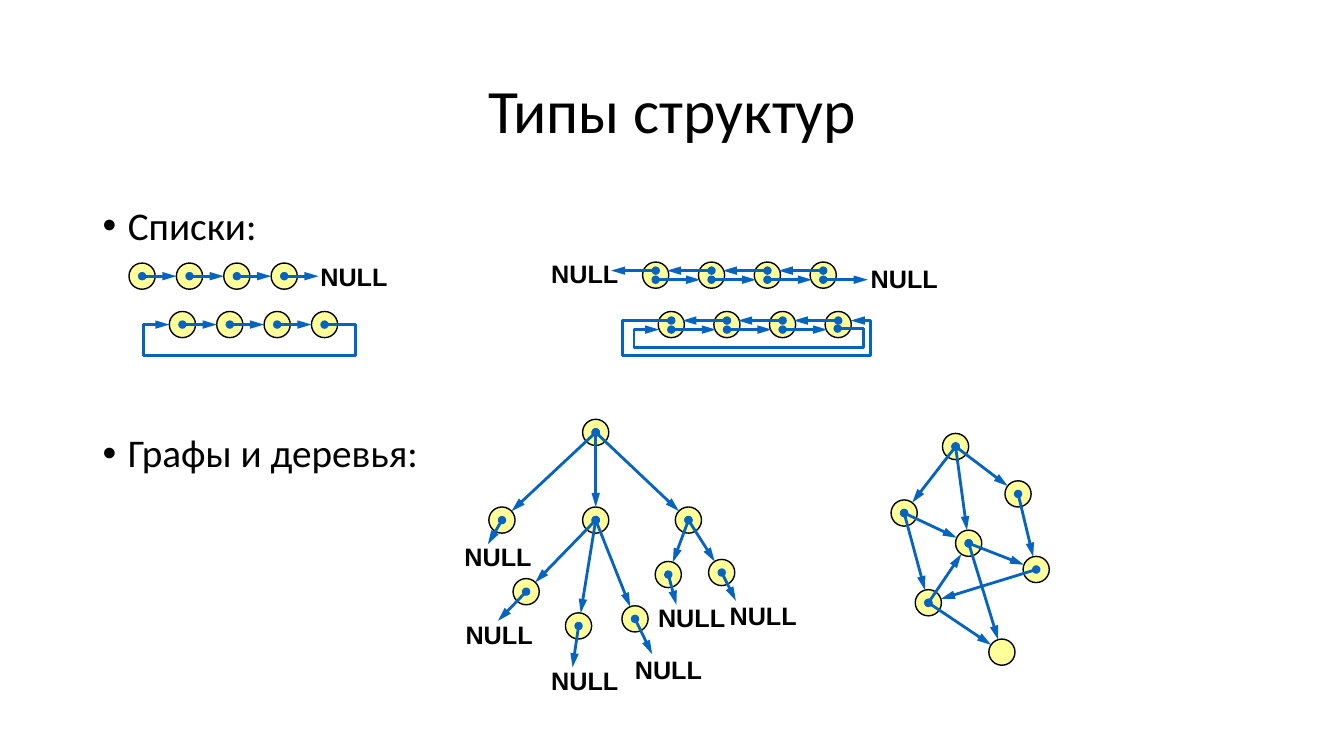
from math import hypot

from lxml import etree
from pptx import Presentation
from pptx.dml.color import RGBColor
from pptx.enum.shapes import MSO_CONNECTOR, MSO_SHAPE
from pptx.enum.text import MSO_ANCHOR, MSO_AUTO_SIZE, PP_ALIGN
from pptx.oxml.ns import qn
from pptx.util import Inches, Pt

STRAIGHT = MSO_CONNECTOR.STRAIGHT
OVAL = MSO_SHAPE.OVAL
MIDDLE = MSO_ANCHOR.MIDDLE
FIT_SHAPE = MSO_AUTO_SIZE.SHAPE_TO_FIT_TEXT
CENTER = PP_ALIGN.CENTER

CELL = Inches(0.1)
COLUMNS, ROWS = 133.33, 75
RADIUS = 1.3
BLACK, YELLOW, BLUE = "000000", "FFFF99", "0563C1"


def cells(*counts):
    return [round(count * CELL) for count in counts]


def color(value):
    return RGBColor.from_string(value)


def style_text(paragraph, font_name, size, bold=False):
    for run in paragraph.runs:
        run.font.name = font_name
        run.font.size = Pt(size)
        run.font.bold = bold
        run.font.color.rgb = color(BLACK)


def style_arrow(arrow):
    arrow.line.color.rgb = color(BLUE)
    arrow.line.width = Pt(2)
    properties = arrow.element.spPr
    outline = properties.find(qn("a:ln"))
    etree.SubElement(outline, qn("a:headEnd"), type="oval")
    etree.SubElement(outline, qn("a:tailEnd"), type="triangle", w="med", len="lg")
    return properties


def add_title(slide, text):
    title = slide.shapes.title
    title.left, title.top, title.width, title.height = cells(9.2, 4, 115, 14.5)
    title.text_frame.text = text
    title.text_frame.vertical_anchor = MIDDLE
    heading = title.text_frame.paragraphs[0]
    heading.alignment = CENTER
    heading.line_spacing = 0.9
    style_text(heading, "Calibri", 44)


def add_topics(slide, topics):
    frame = slide.shapes.add_textbox(*cells(9.2, 20, 115, 47.6)).text_frame
    frame.word_wrap = True
    frame.text = "\n".join(text for text, _ in topics)
    for topic, (_, gap) in zip(frame.paragraphs, topics):
        topic.line_spacing = 0.9
        topic.space_before = Pt(gap)
        style_text(topic, "Calibri", 28)
        indents = topic._p.get_or_add_pPr()
        indents.set("marL", str(Inches(0.25)))
        indents.set("indent", str(-Inches(0.25)))
        etree.SubElement(indents, qn("a:buFont"), typeface="Arial")
        etree.SubElement(indents, qn("a:buChar"), char="•")


def add_null(figure, left, top):
    label = figure.add_textbox(*cells(left, top, 8.7, 4.1)).text_frame
    label.word_wrap = False
    label.auto_size = FIT_SHAPE
    label.text = "NULL"
    style_text(label.paragraphs[0], "Arial", 18, bold=True)


def add_node(figure, x, y):
    node = figure.add_shape(OVAL, *cells(x - RADIUS, y - RADIUS, 2 * RADIUS, 2 * RADIUS))
    node.shadow.inherit = False
    node.fill.solid()
    node.fill.fore_color.rgb = color(YELLOW)
    node.line.color.rgb = color(BLACK)
    node.line.width = Pt(1)


def add_pointer(figure, start, end):
    pointer = figure.add_connector(STRAIGHT, *cells(*start, *end))
    etree.SubElement(style_arrow(pointer), qn("a:effectLst"))


def add_loop(figure, points):
    corners = [cells(*point) for point in points]
    builder = figure.build_freeform(*corners[0])
    builder.add_line_segments(corners[1:], close=False)
    loop = builder.convert_to_shape()
    loop.shadow.inherit = False
    loop.fill.background()
    effects = loop.element.spPr.find(qn("a:effectLst"))
    style_arrow(loop)
    loop.element.spPr.append(effects)


def add_chain(figure, first, y, pitch, forward, backward, reach):
    centers = [first + pitch * index for index in range(4)]
    for x in centers:
        add_node(figure, x, y)
    for x in centers[:forward[0]]:
        add_pointer(figure, (x, y + forward[1]), (x + reach, y + forward[1]))
    for x in centers[4 - backward[0]:]:
        add_pointer(figure, (x, y + backward[1]), (x - reach, y + backward[1]))


def add_network(figure, nodes, edges):
    for x, y in nodes.values():
        add_node(figure, x, y)
    for source, targets in edges.items():
        x, y = nodes[source]
        for target in targets:
            dx, dy = nodes[target][0] - x, nodes[target][1] - y
            share = 1 - RADIUS / hypot(dx, dy)
            add_pointer(figure, (x, y), (x + dx * share, y + dy * share))


def add_lists(slide):
    single = slide.shapes.add_group_shape().shapes
    add_chain(single, 14.1, 27.4, 4.7, (4, 0), (0, 0), 3.4)
    add_null(single, 30.8, 25.4)

    double = slide.shapes.add_group_shape().shapes
    add_chain(double, 65.05, 27.3, 5.54, (4, 0.45), (4, -0.45), 4.42)
    add_null(double, 85.4, 25.6)
    add_null(double, 53.7, 25.1)

    ring = slide.shapes.add_group_shape().shapes
    add_chain(ring, 18.1, 32.2, 4.7, (3, 0), (0, 0), 3.4)
    add_loop(ring, [(32.2, 32.2), (35.3, 32.2), (35.3, 35.3),
                    (14.2, 35.3), (14.2, 32.2), (16.8, 32.2)])

    double_ring = slide.shapes.add_group_shape().shapes
    add_chain(double_ring, 66.6, 32.2, 5.52, (3, 0.5), (3, -0.4), 4.42)
    add_loop(double_ring, [(83.1, 32.6), (85.7, 32.6), (85.7, 34.5),
                           (62.9, 34.5), (62.9, 32.7), (65.4, 32.7)])
    add_loop(double_ring, [(66.6, 31.8), (61.8, 31.8), (61.8, 35.3),
                           (86.4, 35.3), (86.4, 31.8), (84.4, 31.8)])


def add_tree(slide):
    tree = slide.shapes.add_group_shape().shapes
    nodes = {
        "root": (59.1, 42.9),
        "left": (49.8, 51.6), "middle": (59.1, 51.6), "right": (68.3, 51.6),
        "middle 1": (52.2, 58.7), "middle 2": (57.4, 62.1), "middle 3": (63, 61.4),
        "right 1": (66.3, 57), "right 2": (71.6, 56.8),
    }
    add_network(tree, nodes, {
        "root": ("left", "middle", "right"),
        "middle": ("middle 1", "middle 2", "middle 3"),
        "right": ("right 1", "right 2"),
    })
    leaves = {
        "left": ((48.4, 54), (45.1, 53.2)),
        "middle 1": ((49.4, 61.6), (45.2, 60.9)),
        "middle 2": ((56.8, 66.2), (53.7, 65.5)),
        "middle 3": ((64.7, 64.9), (62, 64.4)),
        "right 1": ((67.1, 60), (64.3, 59.3)),
        "right 2": ((73, 59.6), (71.4, 59.1)),
    }
    for leaf, (tip, corner) in leaves.items():
        add_pointer(tree, nodes[leaf], tip)
        add_null(tree, *corner)


def add_graph(slide):
    graph = slide.shapes.add_group_shape().shapes
    nodes = {
        "top": (94.8, 44.3), "upper right": (101, 49), "left": (89.7, 50.9),
        "center": (96.1, 53.9), "right": (102.8, 56.5),
        "lower left": (92.1, 59.8), "bottom": (99.4, 64.7),
    }
    add_network(graph, nodes, {
        "top": ("left", "center", "upper right"),
        "left": ("lower left", "center"),
        "center": ("bottom", "right"),
        "upper right": ("right",),
        "lower left": ("center", "bottom"),
        "right": ("lower left",),
    })


def main():
    presentation = Presentation()
    presentation.slide_width, presentation.slide_height = cells(COLUMNS, ROWS)
    slide = presentation.slides.add_slide(presentation.slide_layouts[5])
    add_title(slide, "Типы структур")
    add_topics(slide, [("Списки:", 10), ("Графы и деревья:", 132)])
    add_lists(slide)
    add_tree(slide)
    add_graph(slide)
    presentation.save("out.pptx")


if __name__ == "__main__":
    main()
